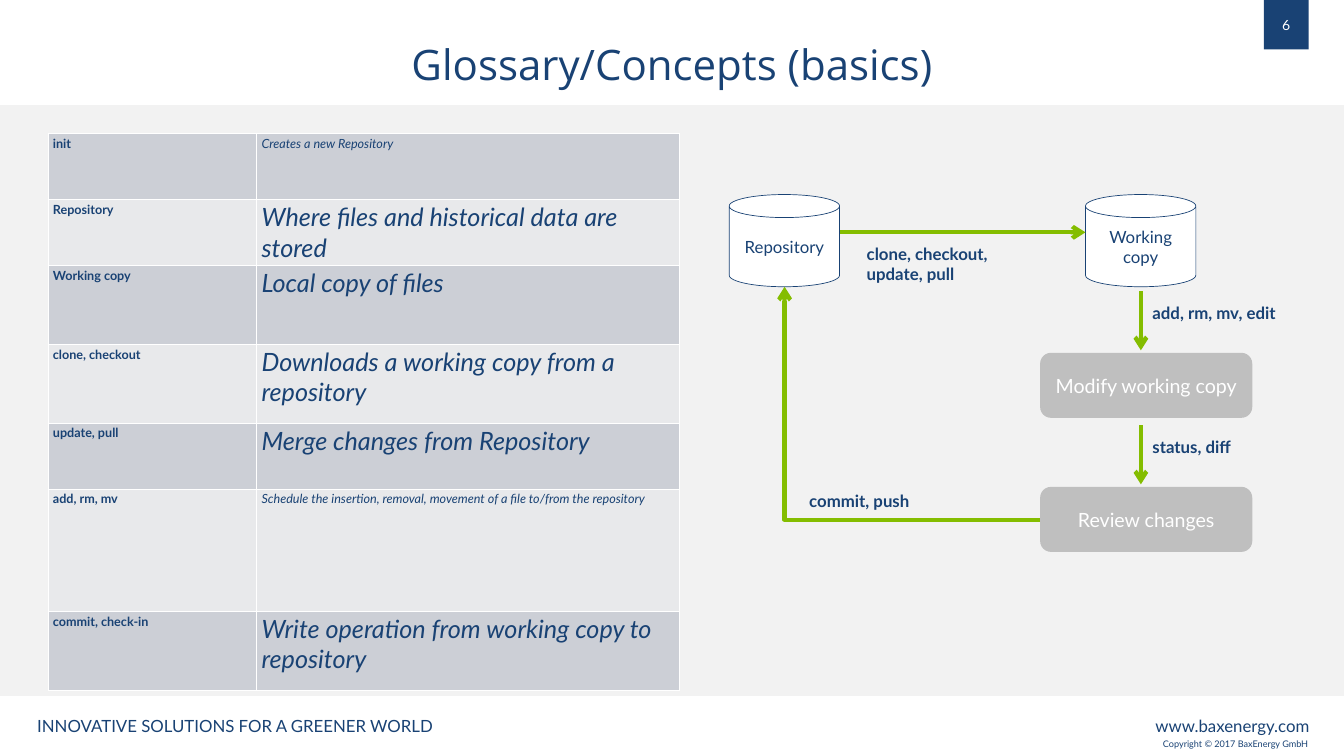
from dataclasses import dataclass
from typing import NamedTuple

from lxml.etree import SubElement
from pptx import Presentation
from pptx.dml.color import RGBColor
from pptx.enum.shapes import MSO_CONNECTOR, MSO_SHAPE
from pptx.enum.text import MSO_ANCHOR, PP_ALIGN
from pptx.oxml.ns import qn
from pptx.util import Inches, Pt


@dataclass(frozen=True)
class Theme:
    navy: str = "194274"
    green: str = "84BD00"
    white: str = "FFFFFF"
    backdrop: str = "F2F2F2"
    step: str = "BFBFBF"
    bands: tuple = ("CCCFD6", "E8E9EB")
    body_font: str = "Lato"
    title_font: str = "Open Sans"
    title: int = 60
    definition: int = 36
    step_size: int = 28
    label: int = 24
    page: int = 20
    term: int = 18
    copyright: int = 13


THEME = Theme()


class Box(NamedTuple):
    left: float
    top: float
    width: float
    height: float

    def lengths(self) -> list:
        return [Inches(value) for value in self]


class Entry(NamedTuple):
    term: str
    definition: str
    height: float
    size: int = THEME.definition


class Label(NamedTuple):
    text: str
    box: Box
    size: int = THEME.label
    bold: bool = True
    align: PP_ALIGN = PP_ALIGN.LEFT
    color: str = THEME.navy


class Node(NamedTuple):
    text: str
    kind: MSO_SHAPE
    box: Box
    fill: str
    color: str
    size: int
    line: str | None = None


class Arrow(NamedTuple):
    begin: tuple
    end: tuple
    bent: bool = False


def rgb(color: str) -> RGBColor:
    return RGBColor.from_string(color)


def write(text_frame, text: str, size: int, color: str = THEME.navy,
          font: str = THEME.body_font, bold: bool = False, italic: bool = False,
          align: PP_ALIGN = PP_ALIGN.LEFT) -> None:
    text_frame.word_wrap = True
    text_frame.text = text
    paragraph = text_frame.paragraphs[0]
    paragraph.alignment = align
    style = paragraph.runs[0].font
    style.name, style.size = font, Pt(size)
    style.bold, style.italic = bold, italic
    style.color.rgb = rgb(color)


def add_block(slide, kind: MSO_SHAPE, box: Box, fill: str, line: str | None = None):
    shape = slide.shapes.add_shape(kind, *box.lengths())
    shape.shadow.inherit = False
    shape.fill.solid()
    shape.fill.fore_color.rgb = rgb(fill)
    if line:
        shape.line.color.rgb = rgb(line)
        shape.line.width = Pt(1)
    else:
        shape.line.fill.background()
    return shape


def add_node(slide, node: Node) -> None:
    shape = add_block(slide, node.kind, node.box, node.fill, node.line)
    shape.text_frame.vertical_anchor = MSO_ANCHOR.MIDDLE
    write(shape.text_frame, node.text, node.size, node.color, align=PP_ALIGN.CENTER)


def add_label(slide, label: Label) -> None:
    text_box = slide.shapes.add_textbox(*label.box.lengths())
    write(text_box.text_frame, label.text, label.size, label.color,
          bold=label.bold, align=label.align)


def add_title(slide, text: str, box: Box) -> None:
    text_frame = slide.shapes.add_textbox(*box.lengths()).text_frame
    text_frame.vertical_anchor = MSO_ANCHOR.MIDDLE
    write(text_frame, text, THEME.title, font=THEME.title_font, align=PP_ALIGN.CENTER)
    text_frame.paragraphs[0].line_spacing = 0.9


def add_arrow(slide, arrow: Arrow) -> None:
    kind = MSO_CONNECTOR.ELBOW if arrow.bent else MSO_CONNECTOR.STRAIGHT
    ends = [Inches(value) for value in (*arrow.begin, *arrow.end)]
    connector = slide.shapes.add_connector(kind, *ends)
    connector.line.color.rgb = rgb(THEME.green)
    connector.line.width = Pt(6)
    properties = connector._element.spPr
    if arrow.bent:  # a single corner
        properties.find(qn("a:prstGeom")).set("prst", "bentConnector2")
    SubElement(properties.find(qn("a:ln")), qn("a:tailEnd"), type="arrow")
    SubElement(properties, qn("a:effectLst"))


def style_cell(cell, fill: str) -> None:
    properties = cell._tc.get_or_add_tcPr()
    for side in ("lnL", "lnR", "lnT", "lnB"):
        border = SubElement(properties, qn(f"a:{side}"), w=str(Pt(1)))
        solid = SubElement(border, qn("a:solidFill"))
        SubElement(solid, qn("a:srgbClr"), val=THEME.white)
    cell.fill.solid()
    cell.fill.fore_color.rgb = rgb(fill)


def add_glossary(slide, entries: list[Entry], left: float, top: float,
                 widths: tuple[float, float]) -> None:
    box = Box(left, top, sum(widths), sum(entry.height for entry in entries))
    table = slide.shapes.add_table(len(entries), len(widths), *box.lengths()).table
    for column, width in zip(table.columns, widths):
        column.width = Inches(width)
    for index, entry in enumerate(entries):
        table.rows[index].height = Inches(entry.height)
        term, definition = table.cell(index, 0), table.cell(index, 1)
        for cell in (term, definition):
            style_cell(cell, THEME.bands[index % 2])
        write(term.text_frame, entry.term, THEME.term, bold=True)
        write(definition.text_frame, entry.definition, entry.size, italic=True)


ENTRIES = [
    Entry("init", "Creates a new Repository", 1.31, THEME.term),
    Entry("Repository", "Where files and historical data are stored", 1.31),
    Entry("Working copy", "Local copy of files", 1.56),
    Entry("clone, checkout", "Downloads a working copy from a repository", 1.56),
    Entry("update, pull", "Merge changes from Repository", 1.31),
    Entry("add, rm, mv", "Schedule the insertion, removal, movement of a file "
          "to/from the repository", 2.43, THEME.term),
    Entry("commit, check-in", "Write operation from working copy to repository", 1.56),
]
STORES = [("Repository", 14.47), ("Working copy", 21.54)]
STEPS = [("Modify working copy", "add, rm, mv, edit", 7), ("Review changes", "status, diff", 9.66)]
FRAME_LABELS = [
    Label("www.baxenergy.com", Box(22.63, 14.15, 3.45, 0.5), bold=False, align=PP_ALIGN.RIGHT),
    Label("INNOVATIVE SOLUTIONS FOR A GREENER WORLD", Box(0.64, 14.16, 8.2, 0.5), bold=False),
    Label("Copyright © 2017 BaxEnergy GmbH", Box(22.98, 14.61, 3.7, 0.32),
          THEME.copyright, False),
    Label("6", Box(25.08, 0.27, 0.89, 0.44), THEME.page, False, PP_ALIGN.CENTER, THEME.white),
]


def main() -> None:
    presentation = Presentation()
    presentation.slide_width, presentation.slide_height = Inches(26.67), Inches(15)
    slide = presentation.slides.add_slide(presentation.slide_layouts[6])
    slide.background.fill.solid()
    slide.background.fill.fore_color.rgb = rgb(THEME.backdrop)

    # Header, footer and page badge
    add_block(slide, MSO_SHAPE.RECTANGLE, Box(0, 0, 26.67, 2.08), THEME.white)
    add_block(slide, MSO_SHAPE.RECTANGLE, Box(0, 13.81, 26.67, 1.19), THEME.white)
    add_block(slide, MSO_SHAPE.RECTANGLE, Box(25.08, 0, 0.89, 0.98), THEME.navy)
    for label in FRAME_LABELS:
        add_label(slide, label)
    add_title(slide, "Glossary/Concepts (basics)", Box(0, 0, 26.67, 2.65))

    # Glossary
    add_glossary(slide, ENTRIES, 0.95, 2.65, (4.14, 8.4))

    # Workflow: stores, then steps with the command leading to each
    for text, left in STORES:
        add_node(slide, Node(text, MSO_SHAPE.CAN, Box(left, 3.86, 2.19, 1.83),
                             THEME.white, THEME.navy, THEME.label, THEME.navy))
    for text, command, top in STEPS:
        add_node(slide, Node(text, MSO_SHAPE.ROUNDED_RECTANGLE, Box(20.64, top, 4.21, 1.29),
                             THEME.step, THEME.white, THEME.step_size))
        add_arrow(slide, Arrow((22.64, top - 1.22), (22.64, top - 0.05)))
        add_label(slide, Label(command, Box(22.77, top - 1.04, 3.52, 0.5)))
    add_arrow(slide, Arrow((16.66, 4.61), (21.54, 4.61)))
    add_arrow(slide, Arrow((20.64, 10.31), (15.57, 5.69), bent=True))
    add_label(slide, Label("commit, push", Box(15.96, 9.69, 2.63, 0.5)))
    add_label(slide, Label("clone, checkout, update, pull", Box(17.1, 4.78, 2.89, 0.91)))

    presentation.save("out.pptx")


if __name__ == "__main__":
    main()
